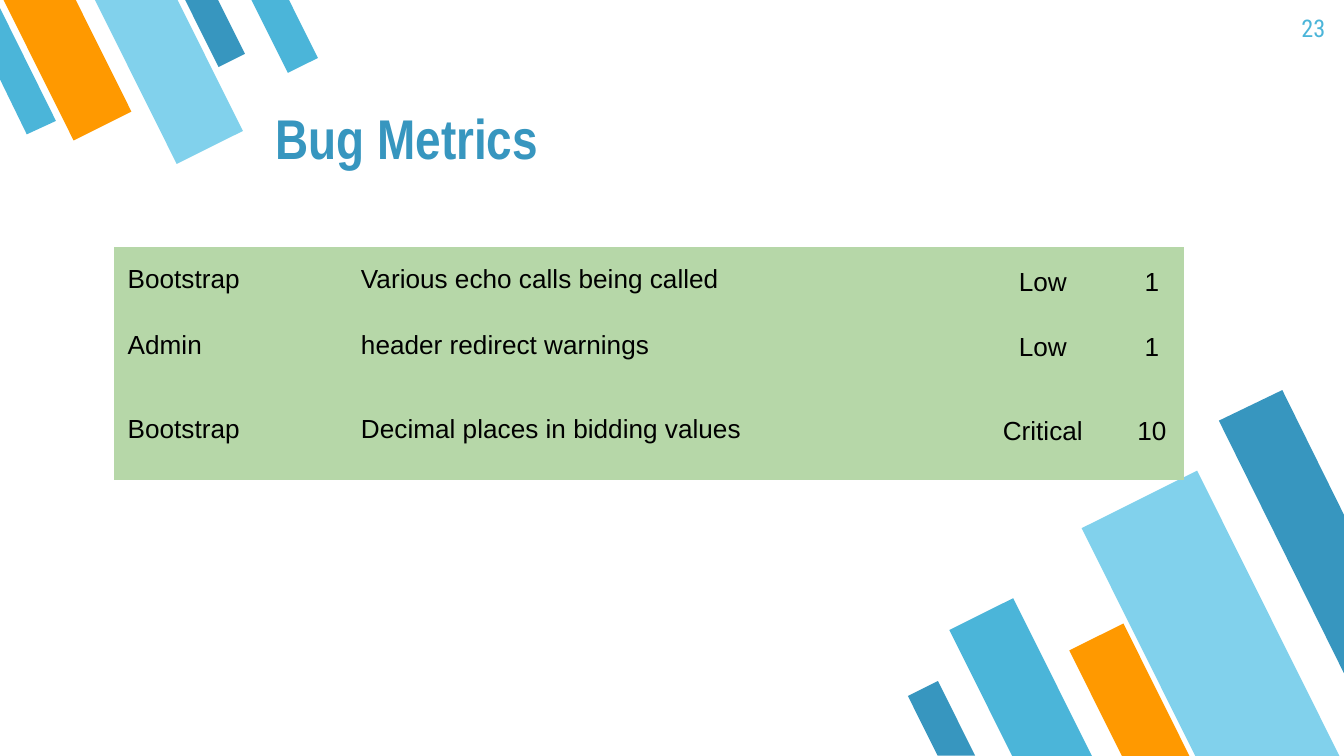
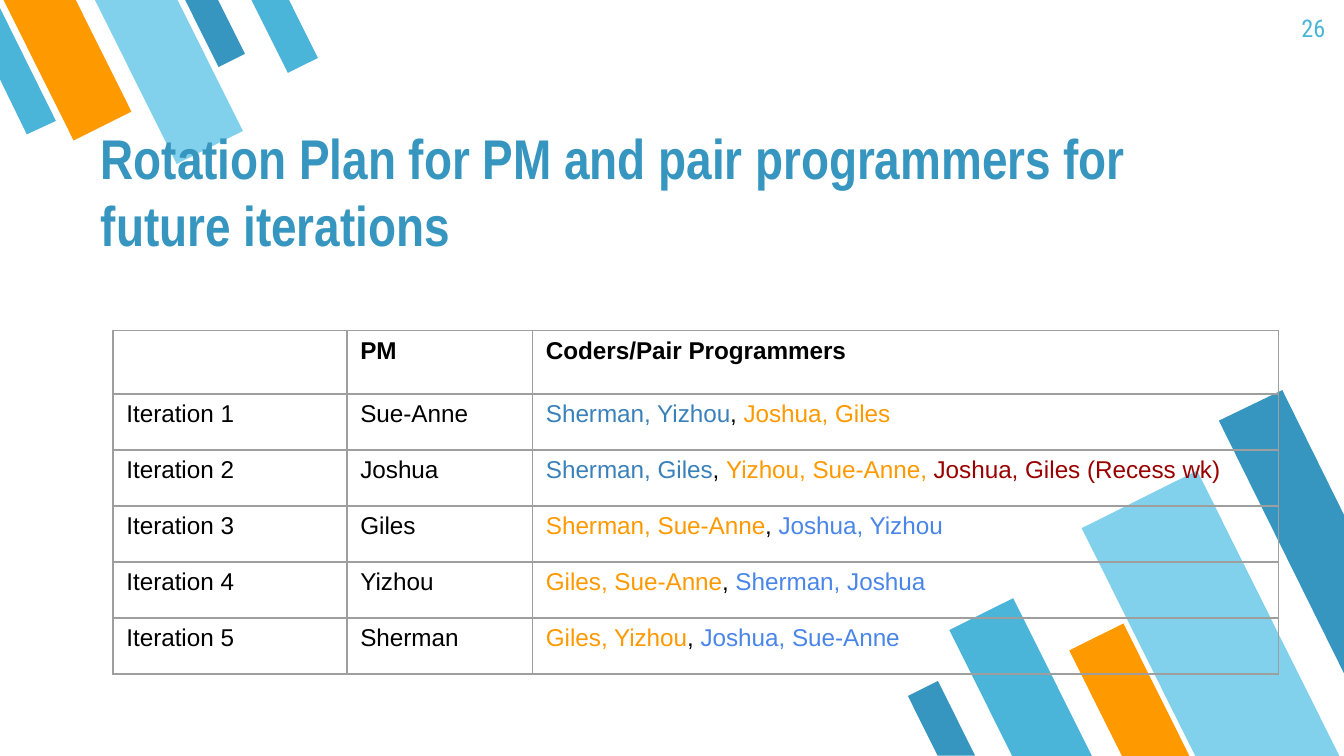
"""Build two project report slides: bug metrics and a team rotation plan."""
import pptx
import pptx.dml.color
import pptx.enum.shapes
import pptx.enum.text
import pptx.oxml
import pptx.oxml.ns
import pptx.util

Pt = pptx.util.Pt
RGBColor = pptx.dml.color.RGBColor
ALIGN = pptx.enum.text.PP_ALIGN
ANCHOR = pptx.enum.text.MSO_ANCHOR

DARK_BLUE = RGBColor(0x37, 0x96, 0xBF)
MID_BLUE = RGBColor(0x4B, 0xB5, 0xD9)
LIGHT_BLUE = RGBColor(0x81, 0xD1, 0xEC)
ORANGE = RGBColor(0xFF, 0x99, 0x00)
PAIR_BLUE = RGBColor(0x3A, 0x81, 0xBA)
BRIGHT_BLUE = RGBColor(0x4A, 0x86, 0xE8)
DARK_RED = RGBColor(0x99, 0x00, 0x00)
GREEN = RGBColor(0xB6, 0xD7, 0xA8)
GRAY = RGBColor(0x9E, 0x9E, 0x9E)
BLACK = RGBColor(0, 0, 0)
INSET = Pt(7.2)
NO_STYLE = "{2D5ABB26-0587-4C30-8999-92F81FD0307C}"


def write_text(text_frame, text, *, size, font="Arial", color=BLACK, bold=False,
               align=ALIGN.LEFT, line_spacing=None):
    """Write a string, or a list of (string, colour) runs, as one paragraph."""
    text_frame.word_wrap = True
    text_frame.margin_left = text_frame.margin_right = INSET
    text_frame.margin_top = text_frame.margin_bottom = INSET
    paragraph = text_frame.paragraphs[0]
    paragraph.alignment = align
    paragraph.line_spacing = line_spacing
    runs = [(text, color)] if isinstance(text, str) else text
    for run_text, run_color in runs:
        run = paragraph.add_run()
        run.text = run_text
        run.font.size = Pt(size)
        run.font.name = font
        run.font.bold = bold
        run.font.color.rgb = run_color


def add_plain_table(slide, left, top, widths, heights):
    """Add a table with no style and return it."""
    frame = slide.shapes.add_table(len(heights), len(widths), Pt(left), Pt(top),
                                   Pt(sum(widths)), Pt(sum(heights)))
    table = frame.table
    table.first_row = table.horz_banding = False
    next(frame.element.iter(pptx.oxml.ns.qn("a:tableStyleId"))).text = NO_STYLE
    for column, width in zip(table.columns, widths):
        column.width = Pt(width)
    for row, height in zip(table.rows, heights):
        row.height = Pt(height)
    return table


presentation = pptx.Presentation()
presentation.slide_width = Pt(720)
presentation.slide_height = Pt(405)
layout = presentation.slide_layouts[5]

slides = []
for title, left, top, width, number in [
    ("Bug Metrics", 140.4, 45.4, 453.6, "23"),
    ("Rotation Plan for PM and pair programmers for future iterations",
     46.8, 92, 591, "26"),
]:
    slide = presentation.slides.add_slide(layout)
    slides.append(slide)
    heading = slide.shapes.title
    heading.left, heading.top = Pt(left), Pt(top)
    heading.width, heading.height = Pt(width), Pt(53.3)
    heading.text_frame.auto_size = pptx.enum.text.MSO_AUTO_SIZE.NONE
    heading.text_frame.vertical_anchor = ANCHOR.BOTTOM
    write_text(heading.text_frame, title, size=30, font="Arial Narrow",
               color=DARK_BLUE, bold=True)
    number_box = slide.shapes.add_textbox(Pt(674), Pt(0), Pt(43), Pt(31))
    write_text(number_box.text_frame, number, size=13, font="Roboto Condensed",
               color=MID_BLUE, align=ALIGN.RIGHT)
bug_slide, rotation_slide = slides

stripes = []
for left, top, width, height, rotation, color in [
    (527.8, 324, 38.2, 95, 153.5, MID_BLUE),
    (614.2, 258.5, 69.1, 172, 153.5, LIGHT_BLUE),
    (589, 337, 32.4, 80, 153.5, ORANGE),
    (495.4, 366.5, 18, 44.6, 153.5, DARK_BLUE),
    (107.3, -5.8, 15.8, 40.3, 333.5, DARK_BLUE),
    (18.7, -13, 34.6, 85, 333.5, ORANGE),
    (70.6, -14.4, 39.6, 98.6, 333.5, LIGHT_BLUE),
    (143.3, -7.2, 18, 44.6, 333.5, MID_BLUE),
]:
    stripe = bug_slide.shapes.add_shape(
        pptx.enum.shapes.MSO_SHAPE.FLOWCHART_MANUAL_INPUT,
        Pt(left), Pt(top), Pt(width), Pt(height))
    stripe.rotation = rotation
    stripe.element.spPr.xfrm.set("flipH", "1")
    stripes.append((stripe, color))

for points, color in [
    ([(687, 209), (653, 225.4), (720, 360.7), (720, 275.8)], DARK_BLUE),
    ([(14.4, 72), (30, 64.8), (0, 4.3), (0, 42.5)], MID_BLUE),
]:
    corners = [(Pt(x), Pt(y)) for x, y in points]
    builder = bug_slide.shapes.build_freeform(*corners[0])
    builder.add_line_segments(corners[1:], close=True)
    stripes.append((builder.convert_to_shape(), color))

for stripe, color in stripes:
    stripe.shadow.inherit = False
    stripe.fill.solid()
    stripe.fill.fore_color.rgb = color
    stripe.line.fill.background()
    layout.shapes.element.append(stripe.element)

bugs = [
    ("Bootstrap", "Various echo calls being called", "Low", "1"),
    ("Admin", "header redirect warnings", "Low", "1"),
    ("Bootstrap", "Decimal places in bidding values", "Critical", "10"),
]
bug_table = add_plain_table(bug_slide, 61.2, 132.4, [125, 331, 83, 34], [35, 35, 55])
for row, bug in enumerate(bugs):
    for column, text in enumerate(bug):
        cell = bug_table.cell(row, column)
        cell.fill.solid()
        cell.fill.fore_color.rgb = GREEN
        cell.vertical_anchor = ANCHOR.MIDDLE
        centered = column >= 2
        write_text(cell.text_frame, text, size=14,
                   align=ALIGN.CENTER if centered else ALIGN.LEFT,
                   line_spacing=1.15 if centered else None)

comma = (", ", BLACK)
rotation_plan = [
    ([], "PM", "Coders/Pair Programmers"),
    ("Iteration 1", "Sue-Anne",
     [("Sherman, Yizhou", PAIR_BLUE), (",", BLACK), (" Joshua, Giles", ORANGE)]),
    ("Iteration 2", "Joshua",
     [("Sherman, Giles", PAIR_BLUE), comma, ("Yizhou, Sue-Anne, ", ORANGE),
      ("Joshua, Giles (Recess wk)", DARK_RED)]),
    ("Iteration 3", "Giles",
     [("Sherman, Sue-Anne", ORANGE), comma, ("Joshua, Yizhou", BRIGHT_BLUE)]),
    ("Iteration 4", "Yizhou",
     [("Giles, Sue-Anne", ORANGE), comma, ("Sherman, Joshua", BRIGHT_BLUE)]),
    ("Iteration 5", "Sherman",
     [("Giles, Yizhou", ORANGE), comma, ("Joshua, Sue-Anne", BRIGHT_BLUE)]),
]
rotation_table = add_plain_table(rotation_slide, 60.5, 177.1, [125.4, 99.4, 399.6],
                                 [34] + [30] * 5)
for row, entries in enumerate(rotation_plan):
    for column, text in enumerate(entries):
        cell = rotation_table.cell(row, column)
        write_text(cell.text_frame, text, size=13, bold=row == 0)
        cell.fill.background()
        properties = cell.fill._xPr
        for position, side in enumerate(["lnL", "lnR", "lnT", "lnB"]):
            properties.insert(position, pptx.oxml.parse_xml(
                f'<a:{side} {pptx.oxml.ns.nsdecls("a")} w="{Pt(0.75)}"><a:solidFill>'
                f'<a:srgbClr val="{GRAY}"/></a:solidFill></a:{side}>'))

presentation.save("out.pptx")
